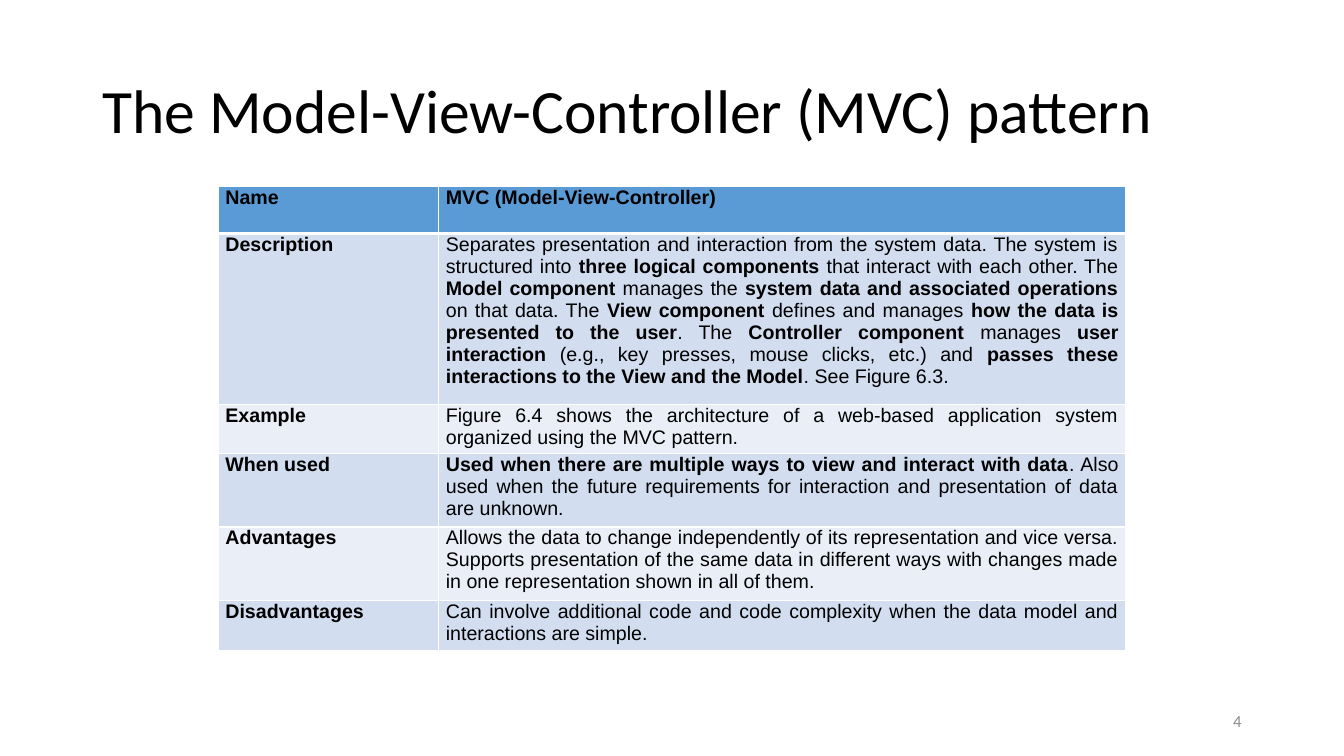
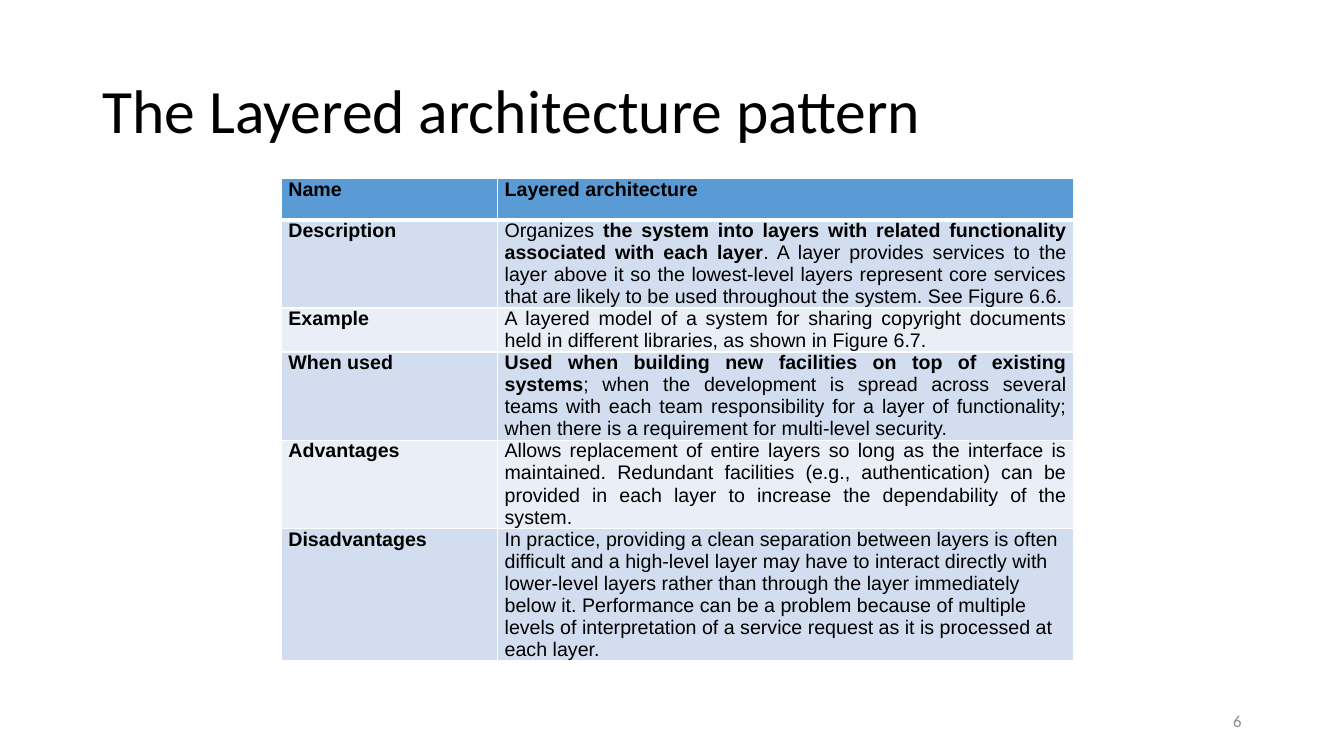
from lxml import etree
from pptx import Presentation
from pptx.dml.color import RGBColor
from pptx.enum import text
from pptx.oxml import ns
from pptx.util import Pt

BLACK = RGBColor(0x00, 0x00, 0x00)
WHITE = RGBColor(0xFF, 0xFF, 0xFF)
GRAY = RGBColor(0x8C, 0x8C, 0x8C)
HEADER_BLUE = RGBColor(0x5B, 0x9B, 0xD5)
DARK_BAND = RGBColor(0xD2, 0xDE, 0xEF)
LIGHT_BAND = RGBColor(0xEA, 0xEF, 0xF7)

TITLE_FONT = "Calibri"
TABLE_FONT = "Arial"
JUSTIFY = text.PP_ALIGN.JUSTIFY
LEFT = text.PP_ALIGN.LEFT

TITLE_BOX = (66, 28.75, 828, 104.4)
NUMBER_BOX = (678, 500.5, 216, 28.75)
LABELS = ["Name", "Description", "Example", "When used", "Advantages", "Disadvantages"]

# Asterisks enclose the bold parts of an entry.
MVC_ENTRIES = [
    "*MVC (Model-View-Controller)*",
    "Separates presentation and interaction from the system data. The system is "
    "structured into *three logical components *that interact with each other. The "
    "*Model component *manages the *system data and associated operations *on that "
    "data. The *View component *defines and manages *how the data is presented to the "
    "user*. The *Controller component *manages *user interaction *(e.g., key presses, "
    "mouse clicks, etc.) and *passes these interactions to the View and the Model*. "
    "See Figure 6.3.",
    "Figure 6.4 shows the architecture of a web-based application system organized "
    "using the MVC pattern.",
    "*Used when there are multiple ways to view and interact with data*. Also used when "
    "the future requirements for interaction and presentation of data are unknown.",
    "Allows the data to change independently of its representation and vice versa. "
    "Supports presentation of the same data in different ways with changes made in one "
    "representation shown in all of them.",
    "Can involve additional code and code complexity when the data model and "
    "interactions are simple.",
]
LAYERED_ENTRIES = [
    "*Layered architecture*",
    "Organizes *the system into layers with related functionality associated with each "
    "layer*. A layer provides services to the layer above it so the lowest-level layers "
    "represent core services that are likely to be used throughout the system. "
    "See Figure 6.6.",
    "A layered model of a system for sharing copyright documents held in different "
    "libraries, as shown in Figure 6.7.",
    "*Used when building new facilities on top of existing systems*; when the "
    "development is spread across several teams with each team responsibility for a "
    "layer of functionality; when there is a requirement for multi-level security.",
    "Allows replacement of entire layers so long as the interface is maintained. "
    "Redundant facilities (e.g., authentication) can be provided in each layer to "
    "increase the dependability of the system.",
    "In practice, providing a clean separation between layers is often difficult and a "
    "high-level layer may have to interact directly with lower-level layers rather than "
    "through the layer immediately below it. Performance can be a problem because of "
    "multiple levels of interpretation of a service request as it is processed at each "
    "layer.",
]


def format_font(font, name, size, color, bold=False):
    """Set the typeface, size, colour and weight of a font."""
    font.name, font.size, font.bold = name, Pt(size), bold
    font.color.rgb = color


def add_title(slide, box, title):
    """Place and format the title placeholder in the box."""
    shape = slide.shapes.title
    shape.left, shape.top, shape.width, shape.height = map(Pt, box)
    frame = shape.text_frame
    frame.text = title
    frame.auto_size = text.MSO_AUTO_SIZE.NONE
    frame.vertical_anchor = text.MSO_ANCHOR.MIDDLE
    paragraph = frame.paragraphs[0]
    paragraph.alignment = LEFT
    paragraph.line_spacing = 0.9
    format_font(paragraph.runs[0].font, TITLE_FONT, 44, BLACK)


def add_slide_number(slide, box, number):
    """Write the slide number at the right edge of the box."""
    frame = slide.shapes.add_textbox(*map(Pt, box)).text_frame
    frame.word_wrap = True
    frame.vertical_anchor = text.MSO_ANCHOR.MIDDLE
    paragraph = frame.paragraphs[0]
    paragraph.text = str(number)
    paragraph.alignment = text.PP_ALIGN.RIGHT
    format_font(paragraph.runs[0].font, TITLE_FONT, 12, GRAY)


def add_borders(cell, bottom_width):
    """Draw white borders round a cell; call before filling it."""
    properties = cell._tc.get_or_add_tcPr()
    widths = {"a:lnL": 1, "a:lnR": 1, "a:lnT": 1, "a:lnB": bottom_width}
    for tag, width in widths.items():
        line = etree.SubElement(properties, ns.qn(tag), w=str(Pt(width)))
        fill = etree.SubElement(line, ns.qn("a:solidFill"))
        etree.SubElement(fill, ns.qn("a:srgbClr"), val=str(WHITE))


def fill_cell(cell, entry, color, alignment, bottom_width):
    """Format a cell and write its entry, with marked parts in bold."""
    add_borders(cell, bottom_width)
    cell.fill.solid()
    cell.fill.fore_color.rgb = color
    cell.margin_left = cell.margin_right = Pt(5)
    cell.margin_top = cell.margin_bottom = Pt(0)
    paragraph = cell.text_frame.paragraphs[0]
    paragraph.alignment = alignment
    for index, part in enumerate(entry.split("*")):
        if part:
            run = paragraph.add_run()
            run.text = part
            format_font(run.font, TABLE_FONT, 14, BLACK, index % 2 == 1)


def add_pattern_table(slide, box, label_width, row_heights, entries, last_alignment):
    """Fill the box with a two-column table of labels and entries."""
    left, top, width, height = map(Pt, box)
    table = slide.shapes.add_table(len(LABELS), 2, left, top, width, height).table
    table.columns[0].width = Pt(label_width)
    table.columns[1].width = width - Pt(label_width)
    last = len(LABELS) - 1
    for index, (label, entry) in enumerate(zip(LABELS, entries)):
        table.rows[index].height = Pt(row_heights[index])
        color = HEADER_BLUE if index == 0 else DARK_BAND if index % 2 else LIGHT_BAND
        bottom_width = 3 if index == 0 else 1
        alignment = last_alignment if index == last else JUSTIFY
        fill_cell(table.cell(index, 0), f"*{label}*", color, JUSTIFY, bottom_width)
        fill_cell(table.cell(index, 1), entry, color, alignment, bottom_width)


def add_pattern_slide(presentation, title, number, box, label_width, row_heights,
                      entries, last_alignment=JUSTIFY):
    """Add a slide that describes one architectural pattern."""
    slide = presentation.slides.add_slide(presentation.slide_layouts[5])
    add_title(slide, TITLE_BOX, title)
    add_pattern_table(slide, box, label_width, row_heights, entries, last_alignment)
    add_slide_number(slide, NUMBER_BOX, number)


def main():
    """Build and save the presentation."""
    presentation = Presentation()
    presentation.slide_width, presentation.slide_height = Pt(960), Pt(540)
    add_pattern_slide(presentation, "The Model-View-Controller (MVC) pattern", 4,
                      (156, 133, 648, 331.5), 157.5,
                      [33.75, 122, 35.25, 52.5, 52.5, 35.5], MVC_ENTRIES)
    add_pattern_slide(presentation, "The Layered architecture pattern", 6,
                      (201, 127.5, 566, 177), 154.5,
                      [29.5] * len(LABELS), LAYERED_ENTRIES, LEFT)
    presentation.save("out.pptx")


main()
